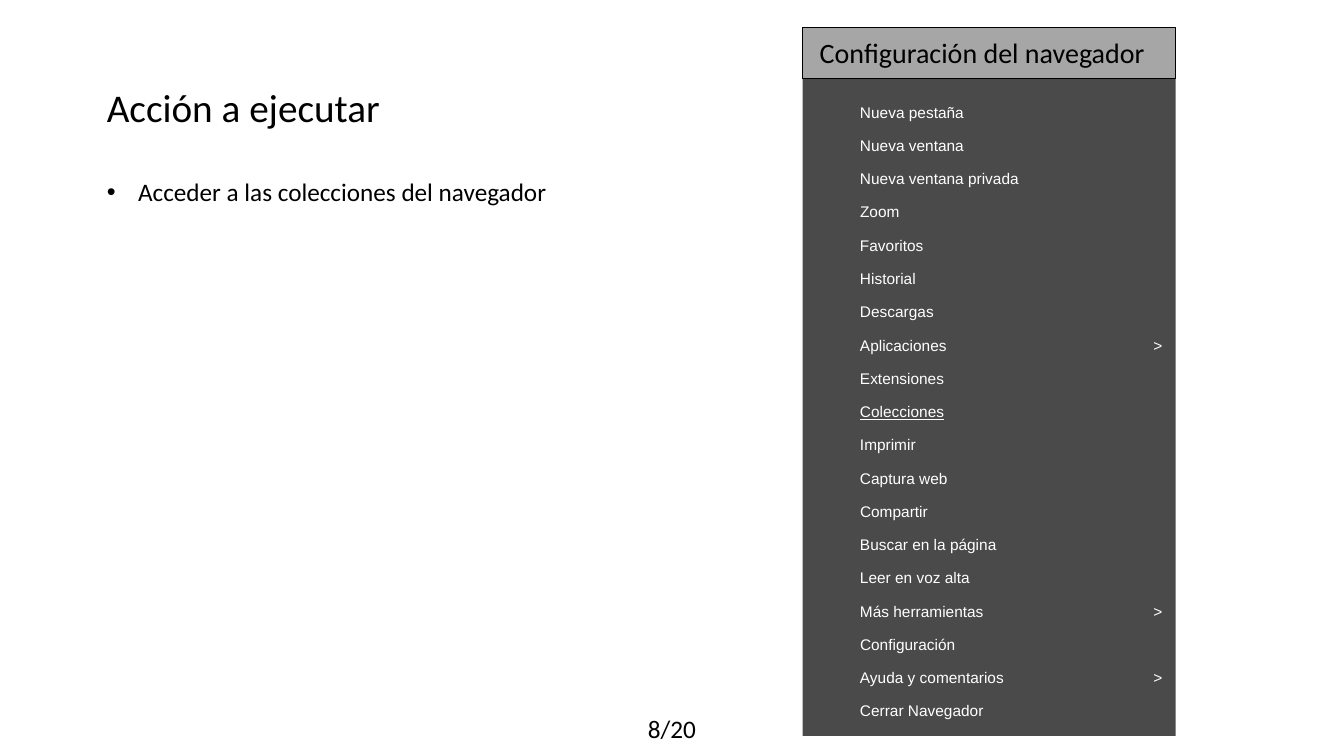
import pptx
import pptx.util
import pptx.dml.color
import pptx.enum.shapes
import pptx.enum.text
from pptx.oxml.ns import qn
from lxml import etree

WIDE, HIGH = 13.33, 7.5
EDGE = 0.96          # left edge of title and list
SPAN = 0.55 * WIDE   # width of title and list
MENU = 7.96          # left edge of the menu panel
BROAD = 3.7          # width of the menu panel
FIRST, STEP = 1.02, 0.33  # first menu row and row pitch
LINE = 0.19          # height of a menu label
ALIGN = pptx.enum.text.PP_ALIGN
ANCHOR = pptx.enum.text.MSO_ANCHOR

# Menu labels with their widths
ITEMS = [
    ("Nueva pestaña", 1.04), ("Nueva ventana", 1.04),
    ("Nueva ventana privada", 1.6), ("Zoom", 0.39),
    ("Favoritos", 0.63), ("Historial", 0.56), ("Descargas", 0.74),
    ("Aplicaciones", 0.87), ("Extensiones", 0.84), ("Colecciones", 0.84),
    ("Imprimir", 0.56), ("Captura web", 0.87), ("Compartir", 0.68),
    ("Buscar en la página", 1.36), ("Leer en voz alta", 1.1),
    ("Más herramientas", 1.23), ("Configuración", 0.95),
    ("Ayuda y comentarios", 1.44), ("Cerrar Navegador", 1.23),
]
NESTED = {"Aplicaciones", "Más herramientas", "Ayuda y comentarios"}
CHOSEN = "Colecciones"


def color(code):
    return pptx.dml.color.RGBColor.from_string(code)


def place(shape, *box):
    shape.left, shape.top, shape.width, shape.height = map(pptx.util.Inches, box)


def write(shape, text, size=18, font="Calibri", ink="000000", align=ALIGN.LEFT,
          anchor=ANCHOR.TOP, wrap=True, inset=None, under=None, bullet=None):
    frame = shape.text_frame
    frame.auto_size = pptx.enum.text.MSO_AUTO_SIZE.NONE
    frame.word_wrap = wrap
    frame.vertical_anchor = anchor
    if inset is not None:
        side = pptx.util.Inches(inset)
        frame.margin_left = frame.margin_right = side
        frame.margin_top = frame.margin_bottom = side
    para = frame.paragraphs[0]
    para.alignment = align
    para.space_before = pptx.util.Pt(0)
    if bullet:
        props = para._p.get_or_add_pPr()
        hang = pptx.util.Inches(0.31)
        props.set("marL", str(hang))
        props.set("indent", str(-hang))
        etree.SubElement(props, qn("a:buFont")).set("typeface", "Arial")
        etree.SubElement(props, qn("a:buChar")).set("char", bullet)
    run = para.add_run()
    run.text = text
    run.font.size = pptx.util.Pt(size)
    run.font.name = font
    run.font.color.rgb = color(ink)
    run.font.underline = under


def label(slide, text, box, **form):
    shape = slide.shapes.add_textbox(0, 0, 0, 0)
    place(shape, *box)
    write(shape, text, **form)


def panel(slide, box, fill, line=None):
    shape = slide.shapes.add_shape(
        pptx.enum.shapes.MSO_SHAPE.RECTANGLE, 0, 0, 0, 0)
    place(shape, *box)
    shape.shadow.inherit = False
    shape.fill.solid()
    shape.fill.fore_color.rgb = color(fill)
    if line:
        shape.line.color.rgb = color(line)
        shape.line.width = pptx.util.Pt(0.75)
    else:
        shape.line.fill.background()


def menu(slide):
    panel(slide, (MENU, 0.74, BROAD, 6.56), "4A4A4A")
    form = dict(size=11, font="Arial", ink="FFFFFF", wrap=False, inset=0)
    for row, (name, width) in enumerate(ITEMS):
        top = FIRST + row * STEP
        label(slide, name, (MENU + 0.57, top, width, LINE),
              under=name == CHOSEN, **form)
        if name in NESTED:
            label(slide, ">", (MENU + 3.48, top, 0.09, LINE), **form)
    # Menu heading
    panel(slide, (MENU, 0.27, BROAD, 0.51), "A6A6A6", line="000000")
    label(slide, "Configuración del navegador", (MENU + 0.17, 0.35, 3.25, 0.34),
          size=20, wrap=False, inset=0)


def main():
    deck = pptx.Presentation()
    deck.slide_width = pptx.util.Inches(WIDE)
    deck.slide_height = pptx.util.Inches(HIGH)
    slide = deck.slides.add_slide(deck.slide_layouts[1])

    # Task title and list
    title, body = slide.placeholders
    place(title, EDGE, 0.78, SPAN, 0.57)
    write(title, "Acción a ejecutar", size=28)
    place(body, EDGE, 1.39, SPAN, 0.71)
    write(body, "Acceder a las colecciones del navegador",
          anchor=ANCHOR.BOTTOM, bullet="•")

    menu(slide)

    # Page count
    label(slide, "8/20", (0, 7.03, WIDE, 0.4), align=ALIGN.CENTER)
    deck.save("out.pptx")


if __name__ == "__main__":
    main()
